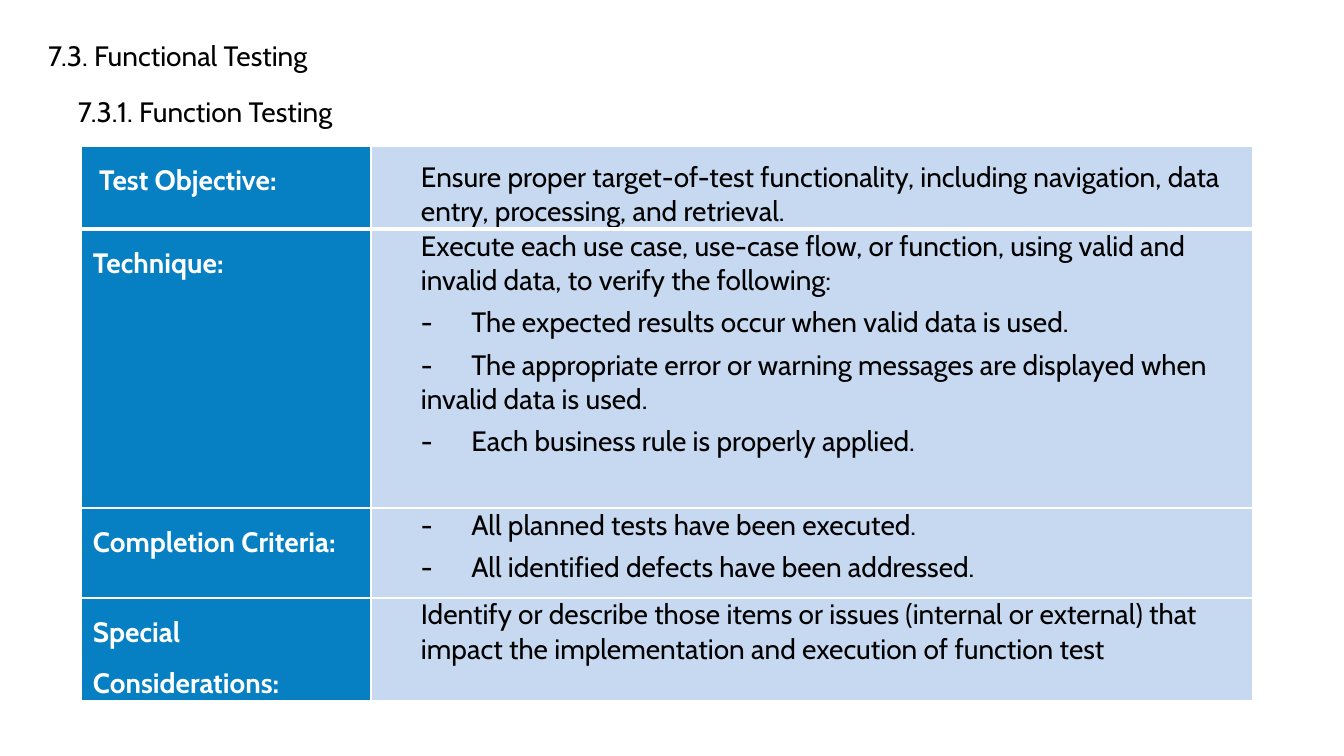
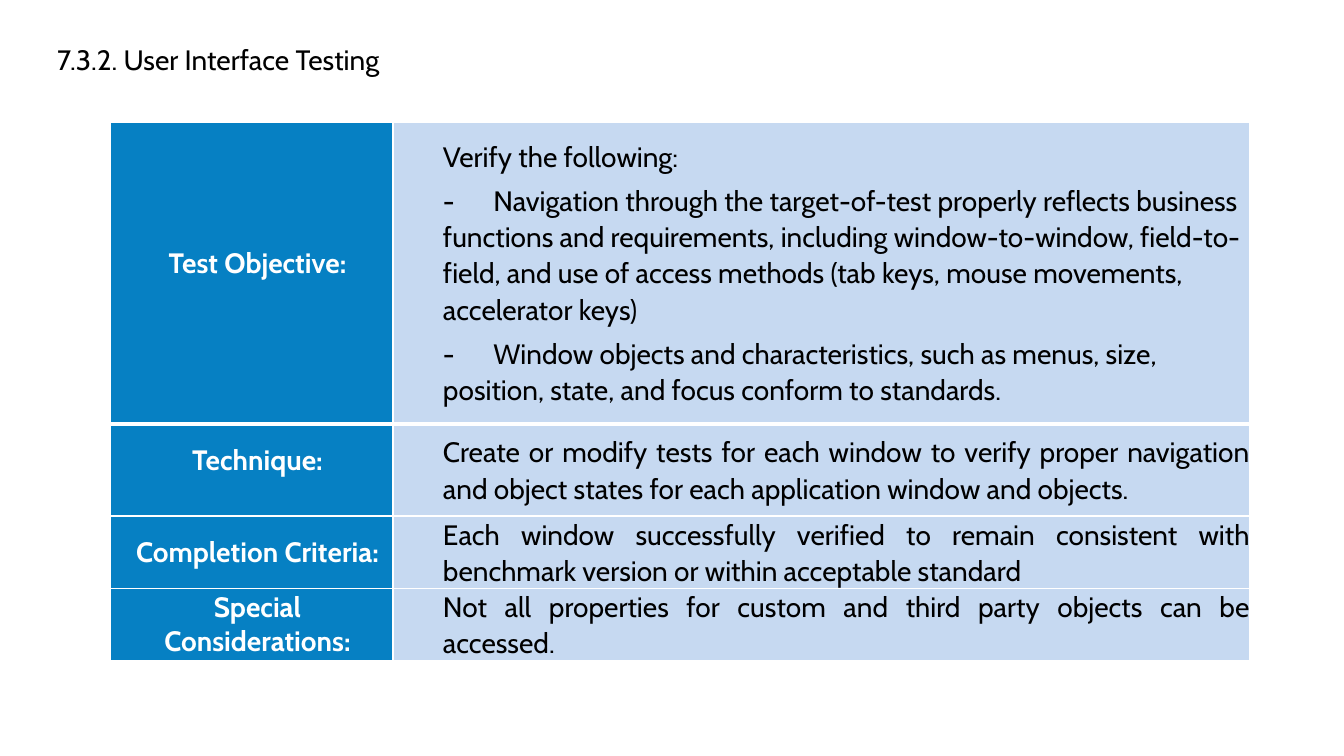
import lxml.etree
import pptx
import pptx.dml.color
import pptx.enum.text
import pptx.oxml.ns
import pptx.util

PX = 914400 / 100.8  # EMU in one px
WHITE = pptx.dml.color.RGBColor(0xFF, 0xFF, 0xFF)
BLACK = pptx.dml.color.RGBColor(0x00, 0x00, 0x00)
LABEL_BLUE = pptx.dml.color.RGBColor(0x06, 0x80, 0xC3)
DETAIL_BLUE = pptx.dml.color.RGBColor(0xC6, 0xD9, 0xF1)
FONT = "Cabin"
FONT_SIZE = 20
LABEL_INDENT, DETAIL_INDENT = 12, 50
ALIGN = pptx.enum.text.PP_ALIGN
ANCHOR = pptx.enum.text.MSO_ANCHOR
qn = pptx.oxml.ns.qn


def px(length):
    return pptx.util.Emu(round(length * PX))


def add_text(para, text, color, bold=False):
    span = para.add_run()
    span.text = text
    span.font.name = FONT
    span.font.size = pptx.util.Pt(FONT_SIZE)
    span.font.bold = bold
    span.font.color.rgb = color


# Slide content; a detail is (text, distance from its dash or 0 for no dash)
# and a row is (label, label line spacing, label indent, anchor, alignment, details)
EXACT = pptx.util.Pt(11)
slides = [
    {
        "headings": [("7.3. Functional Testing", 38, 33), ("7.3.1. Function Testing", 68, 90)],
        "origin": (81, 146),
        "columns": (290, 882),
        "heights": (83, 279, 90, 98),
        "label_style": (ALIGN.LEFT, ANCHOR.TOP),
        "detail_spacing": 1.0,
        "rows": [
            ("Test Objective:", 1.5, 18, ANCHOR.BOTTOM, ALIGN.LEFT, [
                ("Ensure proper target-of-test functionality, including navigation, "
                 "data entry, processing, and retrieval.", 0)]),
            ("Technique:", 1.5, LABEL_INDENT, ANCHOR.TOP, ALIGN.LEFT, [
                ("Execute each use case, use-case flow, or function, using valid and "
                 "invalid data, to verify the following:", 0),
                ("The expected results occur when valid data is used.", 38),
                ("The appropriate error or warning messages are displayed when "
                 "invalid data is used.", 38),
                ("Each business rule is properly applied.", 38)]),
            ("Completion Criteria:", 1.5, LABEL_INDENT, ANCHOR.TOP, ALIGN.LEFT, [
                ("All planned tests have been executed.", 31),
                ("All identified defects have been addressed.", 31)]),
            ("Special Considerations:", 1.5, LABEL_INDENT, ANCHOR.TOP, ALIGN.LEFT, [
                ("Identify or describe those items or issues (internal or external) that "
                 "impact the implementation and execution of function test", 0)]),
        ],
    },
    {
        "headings": [("7.3.2. User Interface Testing", 47, 37)],
        "origin": (110, 122),
        "columns": (283, 857),
        "heights": (302, 92, 71, 71),
        "label_style": (ALIGN.CENTER, ANCHOR.MIDDLE),
        "detail_spacing": 1.06,
        "rows": [
            ("Test Objective:", EXACT, LABEL_INDENT, ANCHOR.MIDDLE, ALIGN.LEFT, [
                ("Verify the following:", 0),
                ("Navigation through the target-of-test properly reflects business functions "
                 "and requirements, including window-to-window, field-to-field, and use of "
                 "access methods (tab keys, mouse movements, accelerator keys)", 31),
                ("Window objects and characteristics, such as menus, size, position, state, "
                 "and focus conform to standards.", 38)]),
            ("Technique:", EXACT, LABEL_INDENT, ANCHOR.MIDDLE, ALIGN.JUSTIFY, [
                ("Create or modify tests for each window to verify proper navigation and "
                 "object states for each application window and objects.", 0)]),
            ("Completion Criteria:", 1.0, LABEL_INDENT, ANCHOR.MIDDLE, ALIGN.JUSTIFY, [
                ("Each window successfully verified to remain consistent with benchmark "
                 "version or within acceptable standard", 0)]),
            ("Special Considerations:", 1.0, LABEL_INDENT, ANCHOR.MIDDLE, ALIGN.JUSTIFY, [
                ("Not all properties for custom and third party objects can be accessed.", 0)]),
        ],
    },
]

deck = pptx.Presentation()
deck.slide_width, deck.slide_height = px(1344), px(756)

for content in slides:
    page = deck.slides.add_slide(deck.slide_layouts[5])

    # Headings: the first is the slide title
    for number, (text, left, top) in enumerate(content["headings"]):
        box = page.shapes.title if number == 0 else page.shapes.add_textbox(0, 0, 0, 0)
        box.left, box.top, box.width, box.height = px(left), px(top), px(700), px(50)
        frame = box.text_frame
        frame.word_wrap = True
        frame.auto_size = pptx.enum.text.MSO_AUTO_SIZE.NONE
        frame.vertical_anchor = ANCHOR.TOP
        frame.paragraphs[0].alignment = ALIGN.LEFT
        add_text(frame.paragraphs[0], text, BLACK)

    # Table grid
    left, top = content["origin"]
    columns, heights = content["columns"], content["heights"]
    table = page.shapes.add_table(len(heights), len(columns), px(left), px(top),
                                  px(sum(columns)), px(sum(heights))).table
    table.first_row = table.horz_banding = False
    for column, width in zip(table.columns, columns):
        column.width = px(width)
    for row, height in zip(table.rows, heights):
        row.height = px(height)

    # Cell borders, fills and margins
    for row_number in range(len(heights)):
        for column_number, fill in enumerate((LABEL_BLUE, DETAIL_BLUE)):
            cell = table.cell(row_number, column_number)
            properties = cell._tc.get_or_add_tcPr()
            for side in ("lnL", "lnR", "lnT", "lnB"):
                weight = 3 if row_number == 0 and side == "lnB" else 1
                line = lxml.etree.SubElement(properties, qn("a:" + side),
                                             w=str(pptx.util.Pt(weight)))
                solid = lxml.etree.SubElement(line, qn("a:solidFill"))
                lxml.etree.SubElement(solid, qn("a:srgbClr"), val=str(WHITE))
            cell.fill.solid()
            cell.fill.fore_color.rgb = fill
            cell.margin_left = cell.margin_right = cell.margin_top = cell.margin_bottom = 0

    # Cell text
    label_align, label_anchor = content["label_style"]
    for row_number, (label, spacing, indent, anchor, align, details) in enumerate(content["rows"]):
        label_cell, detail_cell = table.cell(row_number, 0), table.cell(row_number, 1)
        label_cell.vertical_anchor = label_anchor
        para = label_cell.text_frame.paragraphs[0]
        para.alignment = label_align
        para.line_spacing = spacing
        para.space_after = pptx.util.Pt(6)
        para._p.get_or_add_pPr().set("marL", str(px(indent)))
        add_text(para, label, WHITE, bold=True)

        detail_cell.vertical_anchor = anchor
        frame = detail_cell.text_frame
        for number, (text, dash_gap) in enumerate(details):
            para = frame.paragraphs[0] if number == 0 else frame.add_paragraph()
            properties = para._p.get_or_add_pPr()
            properties.set("marL", str(px(DETAIL_INDENT)))
            properties.set("indent", "0")
            if dash_gap:
                # Stops for programs that measure from the indent or from the cell edge
                tabs = lxml.etree.SubElement(properties, qn("a:tabLst"))
                for stop in (dash_gap, DETAIL_INDENT + dash_gap):
                    lxml.etree.SubElement(tabs, qn("a:tab"), pos=str(px(stop)), algn="l")
                text = "-\t" + text
            para.alignment = align
            para.line_spacing = content["detail_spacing"]
            para.space_before = pptx.util.Pt(3 if number else 0)
            para.space_after = pptx.util.Pt(3)
            add_text(para, text, BLACK)

deck.save("out.pptx")
